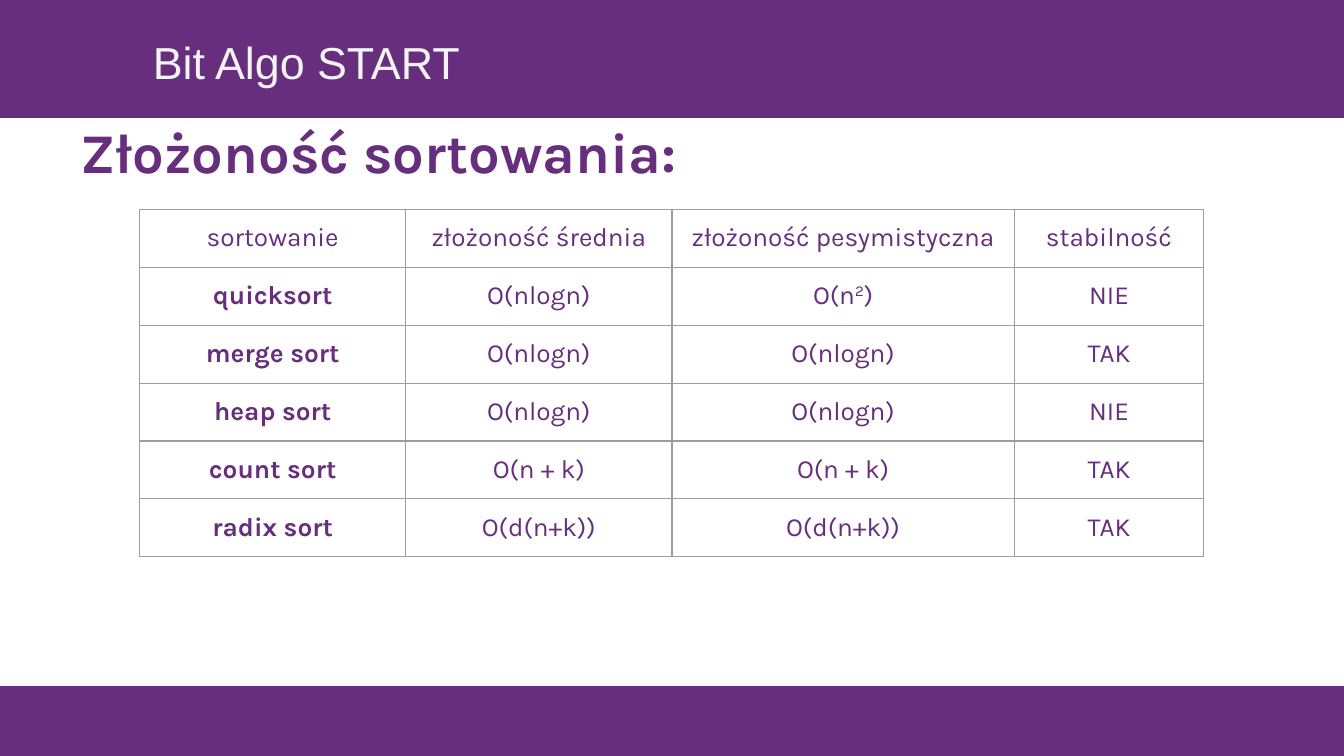
from pptx import Presentation
from pptx import util as u
from pptx.dml.color import RGBColor
from pptx.enum import shapes, text
from pptx.oxml import ns, xmlchemy

COLORS = {"purple": "662E7D", "light": "F3F3F3", "border": "9E9E9E"}
INSET = u.Cm(0.25)
COLUMN_WIDTHS = [5.03, 5.03, 6.47, 3.58]
ROW_HEIGHT = 1.08
HEADER = ["sortowanie", "złożoność średnia", "złożoność pesymistyczna", "stabilność"]
SORTS = [
    ["quicksort", "O(nlogn)", "O(n^2^)", "NIE"],
    ["merge sort", "O(nlogn)", "O(nlogn)", "TAK"],
    ["heap sort", "O(nlogn)", "O(nlogn)", "NIE"],
    ["count sort", "O(n + k)", "O(n + k)", "TAK"],
    ["radix sort", "O(d(n+k))", "O(d(n+k))", "TAK"],
]


def rgb(name):
    return RGBColor.from_string(COLORS[name])


def add_run(paragraph, content, size, color="purple", font="Karla", bold=False):
    run = paragraph.add_run()
    run.text = content
    run.font.size = u.Pt(size)
    run.font.name = font
    run.font.bold = bold
    run.font.color.rgb = rgb(color)
    return run


def set_margins(holder):
    holder.margin_left = holder.margin_right = INSET
    holder.margin_top = holder.margin_bottom = INSET


def add_band(slide, top, height):
    shape = slide.shapes.add_shape(
        shapes.MSO_SHAPE.RECTANGLE, u.Cm(-0.1), u.Cm(top), u.Cm(25.58), u.Cm(height))
    shape.shadow.inherit = False
    shape.fill.solid()
    shape.fill.fore_color.rgb = rgb("purple")
    shape.line.color.rgb = rgb("purple")
    shape.line.width = u.Pt(1.5)


def add_label(slide, left, top, width, height, content, anchor, **style):
    shape = slide.shapes.add_textbox(u.Cm(left), u.Cm(top), u.Cm(width), u.Cm(height))
    frame = shape.text_frame
    frame.word_wrap = True
    frame.vertical_anchor = anchor
    set_margins(frame)
    add_run(frame.paragraphs[0], content, **style)


def set_borders(cell):
    properties = cell._tc.get_or_add_tcPr()
    for position, side in enumerate(("lnL", "lnR", "lnT", "lnB")):
        line = xmlchemy.OxmlElement(f"a:{side}")
        line.set("w", str(u.Pt(0.75)))
        fill = xmlchemy.OxmlElement("a:solidFill")
        color = xmlchemy.OxmlElement("a:srgbClr")
        color.set("val", COLORS["border"])
        fill.append(color)
        line.append(fill)
        properties.insert(position, line)


def fill_cell(cell, content, bold):
    set_margins(cell)
    cell.fill.background()
    set_borders(cell)
    paragraph = cell.text_frame.paragraphs[0]
    paragraph.alignment = text.PP_ALIGN.CENTER
    for index, part in enumerate(content.split("^")):
        run = add_run(paragraph, part, 14, bold=bold)
        if index % 2:
            run._r.get_or_add_rPr().set("baseline", "30000")


def add_sort_table(slide, left, top):
    rows = [HEADER] + SORTS
    frame = slide.shapes.add_table(
        len(rows), len(HEADER), u.Cm(left), u.Cm(top),
        u.Cm(sum(COLUMN_WIDTHS)), u.Cm(ROW_HEIGHT * len(rows)))
    table = frame.table
    table.first_row = table.horz_banding = False
    style = table._tbl.tblPr.find(ns.qn("a:tableStyleId"))
    style.text = "{2D5ABB26-0587-4C30-8999-92F81FD0307C}"
    for column, width in zip(table.columns, COLUMN_WIDTHS):
        column.width = u.Cm(width)
    for row_index, row in enumerate(rows):
        table.rows[row_index].height = u.Cm(ROW_HEIGHT)
        for column_index, content in enumerate(row):
            bold = row_index > 0 and column_index == 0
            fill_cell(table.cell(row_index, column_index), content, bold)


def main():
    presentation = Presentation()
    presentation.slide_width = u.Cm(25.4)
    presentation.slide_height = u.Cm(14.29)
    slide = presentation.slides.add_slide(presentation.slide_layouts[6])

    add_band(slide, -0.08, 2.29)
    add_label(slide, 2.64, 0.41, 11.3, 1.55, "Bit Algo START", text.MSO_ANCHOR.TOP,
              size=24, color="light", font="Arial")
    add_band(slide, 13, 1.45)
    add_label(slide, 1.27, 2.18, 22.86, 1.57, "Złożoność sortowania:",
              text.MSO_ANCHOR.BOTTOM, size=30, bold=True)
    add_sort_table(slide, 2.64, 3.96)

    presentation.save("out.pptx")


if __name__ == "__main__":
    main()
